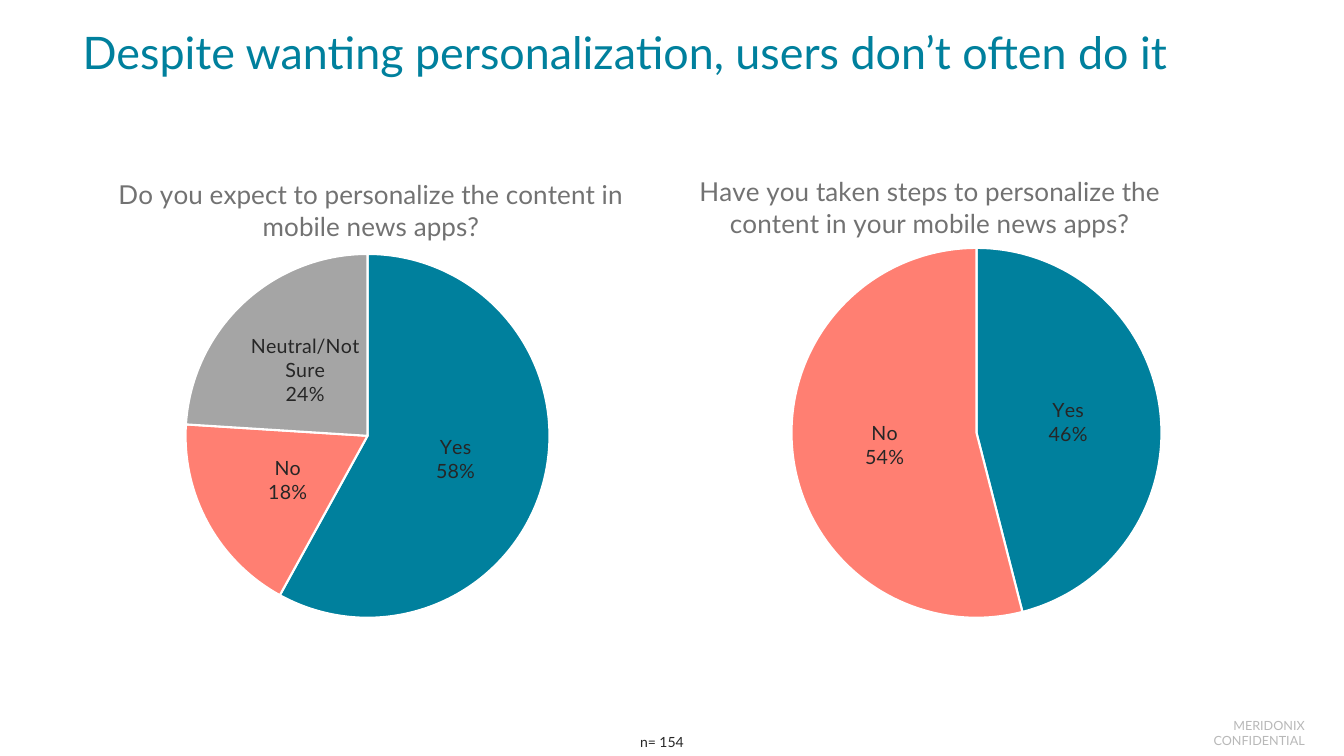
"""Build a slide with two pie charts on wanting and doing personalization."""
from lxml import etree
from pptx import Presentation
from pptx.chart.data import CategoryChartData
from pptx.dml.color import RGBColor
from pptx.enum.chart import XL_CHART_TYPE as ChartType, XL_LABEL_POSITION as LabelPosition
from pptx.enum.text import MSO_ANCHOR as Anchor, PP_ALIGN as Align
from pptx.oxml import parse_xml
from pptx.oxml.ns import nsdecls, qn
from pptx.util import Inches, Pt

COLORS = {"teal": "00809D", "coral": "FF7F72", "silver": "A5A5A5", "text": "262626",
          "heading": "727272", "footer": "B8B8B8", "white": "FFFFFF"}
SLICES = ("teal", "coral", "silver")
CHART_WIDTH, CHART_HEIGHT, CHART_TOP = 6.99, 4.83, 1.45
PIE_BOTTOM = 6.13


def style(font, size, color):
    font.name, font.size, font.bold = "Lato", Pt(size), False
    font.color.rgb = RGBColor.from_string(COLORS[color])


def layout_xml(target="", **shares):
    modes = "".join(f'<c:{axis}Mode val="edge"/>' for axis in "xy")
    values = "".join(f'<c:{key} val="{share:.4f}"/>' for key, share in shares.items())
    return parse_xml(f'<c:layout {nsdecls("c")}><c:manualLayout>{target}{modes}{values}'
                     '</c:manualLayout></c:layout>')


deck = Presentation()
deck.slide_width, deck.slide_height = Inches(13.33), Inches(7.5)
page = deck.slides.add_slide(deck.slide_layouts[5])

title = page.shapes.title
title.left, title.top, title.width, title.height = map(Inches, (0.82, 0.24, 11.5, 0.62))
frame = title.text_frame
frame.text = "Despite wanting personalization, users don’t often do it"
frame.margin_left = frame.margin_right = 0
frame.vertical_anchor, frame.word_wrap = Anchor.MIDDLE, True
para = frame.paragraphs[0]
para.alignment, para.line_spacing = Align.LEFT, 0.9
style(para.runs[0].font, 32, "teal")

surveys = [
    (0.15, "Do you expect to personalize the content in mobile news apps?",
     {"Yes": 58, "No": 18, "Neutral/Not Sure": 24}, 3.61, (0.14, 0.05)),
    (6.19, "Have you taken steps to personalize the content in your mobile news apps?",
     {"Yes": 46, "No": 54}, 3.67, (0.1, 0.044)),
]
for left, question, answers, diameter, (title_x, title_y) in surveys:
    data = CategoryChartData(number_format="0")
    data.categories = list(answers)
    data.add_series("Series 1", list(answers.values()))
    chart = page.shapes.add_chart(
        ChartType.PIE, Inches(left), Inches(CHART_TOP),
        Inches(CHART_WIDTH), Inches(CHART_HEIGHT), data).chart
    style(chart.font, 10, "text")
    chart.has_legend = False

    heading = chart.chart_title
    heading.text_frame.text = question
    style(heading.text_frame.paragraphs[0].runs[0].font, 18.6, "heading")
    heading.include_in_layout = False
    element = heading._element
    for old in element.findall(qn("c:layout")):
        element.remove(old)
    element.find(qn("c:tx")).addnext(layout_xml(x=title_x, y=title_y))

    plot_area = chart._chartSpace.chart.plotArea
    for old in plot_area.findall(qn("c:layout")):
        plot_area.remove(old)
    plot_area.insert(0, layout_xml(
        '<c:layoutTarget val="inner"/>',
        x=(1 - diameter / CHART_WIDTH) / 2,
        y=(PIE_BOTTOM - diameter - CHART_TOP) / CHART_HEIGHT,
        w=diameter / CHART_WIDTH, h=diameter / CHART_HEIGHT))

    plot = chart.plots[0]
    plot.vary_by_categories = True
    for index, color in zip(range(len(answers)), SLICES):
        look = plot.series[0].points[index].format
        look.fill.solid()
        look.fill.fore_color.rgb = RGBColor.from_string(COLORS[color])
        look.line.color.rgb = RGBColor.from_string(COLORS["white"])
        look.line.width = Pt(1.5)

    labels = plot.series[0].data_labels
    labels.show_value, labels.show_percentage, labels.show_category_name = False, True, True
    labels.number_format, labels.number_format_is_linked = "0%", False
    labels.position = LabelPosition.CENTER
    style(labels.font, 14, "text")
    separator = etree.SubElement(labels._element, qn("c:separator"))
    separator.text = "\n"
    labels._element.find(qn("c:showBubbleSize")).addnext(separator)

notes = [
    ((1.91, 7.23, 9.31, 0.27), "n= 154", 10, "text", Align.CENTER, (0.1, 0.05)),
    ((11.74, 7.12, 1.2, 0.3), "MERIDONIX CONFIDENTIAL", 9, "footer", Align.RIGHT, (0, 0)),
]
for place, words, size, color, alignment, (side, edge) in notes:
    frame = page.shapes.add_textbox(*map(Inches, place)).text_frame
    frame.text, frame.word_wrap = words, True
    frame.margin_left = frame.margin_right = Inches(side)
    frame.margin_top = frame.margin_bottom = Inches(edge)
    frame.paragraphs[0].alignment = alignment
    style(frame.paragraphs[0].runs[0].font, size, color)

deck.save("out.pptx")
